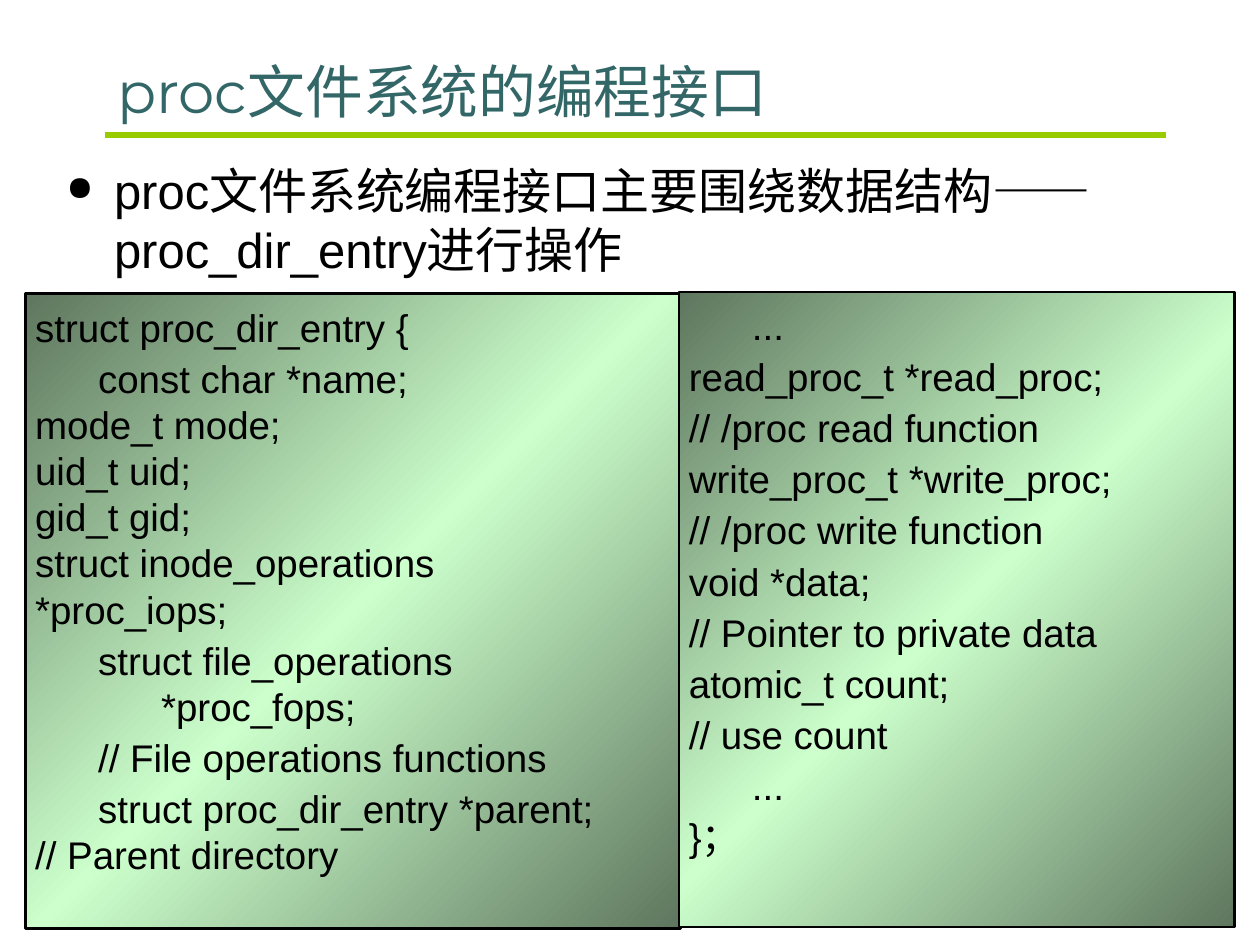
from dataclasses import dataclass

from lxml import etree
from pptx import Presentation
from pptx.dml.color import RGBColor
from pptx.enum.shapes import MSO_CONNECTOR, MSO_SHAPE
from pptx.enum.text import MSO_ANCHOR, MSO_AUTO_SIZE, PP_ALIGN
from pptx.oxml import parse_xml
from pptx.oxml.ns import nsdecls, qn
from pptx.util import Cm, Pt

RECTANGLE = MSO_SHAPE.RECTANGLE
STRAIGHT = MSO_CONNECTOR.STRAIGHT
LEFT = PP_ALIGN.LEFT
TOP, BOTTOM = MSO_ANCHOR.TOP, MSO_ANCHOR.BOTTOM
TITLE_ONLY = 5


@dataclass(frozen=True)
class Theme:
    title_color: str = "336666"
    rule_color: str = "99CC00"
    text_color: str = "000000"
    panel_edge: str = "5E765E"
    panel_middle: str = "CCFFCC"
    title_font: str = "Montserrat"
    body_font: str = "Arial"
    title_size: int = 33
    body_size: int = 28
    code_size: int = 22


THEME = Theme()

TITLE = "proc文件系统的编程接口"
INTRO = "proc文件系统编程接口主要围绕数据结构—— proc_dir_entry进行操作"

# A tab indents code by one level; \v continues a paragraph on a new line
FIRST_FIELDS = [
    "struct proc_dir_entry {",
    "\tconst char *name;\vmode_t mode;\vuid_t uid;\vgid_t gid;"
    "\vstruct inode_operations\v*proc_iops;",
    "\tstruct file_operations\v\t\t*proc_fops;",
    "\t// File operations functions",
    "\tstruct proc_dir_entry *parent;\v// Parent directory",
]
LAST_FIELDS = [
    "\t...",
    "read_proc_t *read_proc;",
    "// /proc read function",
    "write_proc_t *write_proc;",
    "// /proc write function",
    "void *data;",
    "// Pointer to private data",
    "atomic_t count;",
    "// use count",
    "\t...",
    "}；",
]


def format_paragraph(para, font, size, color, space_before=0):
    para.alignment = LEFT
    para.space_before = Pt(space_before)
    for span in para.runs:
        span.font.name = font
        span.font.size = Pt(size)
        span.font.color.rgb = RGBColor.from_string(color)


def set_title(page):
    title = page.shapes.title
    title.left, title.top = Cm(2.11), Cm(0.71)
    title.width, title.height = Cm(21.39), Cm(1.93)
    frame = title.text_frame
    frame.text = TITLE
    frame.vertical_anchor = BOTTOM
    frame.auto_size = MSO_AUTO_SIZE.NONE
    format_paragraph(frame.paragraphs[0], THEME.title_font,
                     THEME.title_size, THEME.title_color)


def add_rule(page):
    rule = page.shapes.add_connector(STRAIGHT, Cm(2.11), Cm(2.72), Cm(23.5), Cm(2.72))
    rule.line.color.rgb = RGBColor.from_string(THEME.rule_color)
    rule.line.width = Pt(3)
    etree.SubElement(rule._element.spPr, qn("a:effectLst"))


def add_bullet(para, indent):
    properties = para._p.get_or_add_pPr()
    properties.set("marL", str(indent))
    properties.set("indent", str(-indent))
    etree.SubElement(properties, qn("a:buSzPct")).set("val", "70000")
    etree.SubElement(properties, qn("a:buChar")).set("char", "●")


def add_intro(page):
    box = page.shapes.add_textbox(Cm(1.09), Cm(3.12), Cm(22.78), Cm(2.79))
    frame = box.text_frame
    frame.word_wrap = True
    frame.text = INTRO
    para = frame.paragraphs[0]
    format_paragraph(para, THEME.body_font, THEME.body_size, THEME.text_color, 7)
    add_bullet(para, Cm(0.96))


def fill_with_gradient(shape):
    colors = [THEME.panel_edge, THEME.panel_middle, THEME.panel_edge]
    stops = "".join(
        f'<a:gs pos="{place * 50000}"><a:srgbClr val="{color}"/></a:gs>'
        for place, color in enumerate(colors))
    gradient = parse_xml(
        f'<a:gradFill {nsdecls("a")} rotWithShape="1"><a:gsLst>{stops}</a:gsLst>'
        '<a:lin ang="2700000" scaled="1"/></a:gradFill>')
    shape._element.spPr.find(qn("a:prstGeom")).addnext(gradient)


def add_code_panel(page, left, top, width, lines):
    panel = page.shapes.add_shape(RECTANGLE, left, top, width, Cm(12.8))
    panel.shadow.inherit = False
    fill_with_gradient(panel)
    panel.line.color.rgb = RGBColor.from_string(THEME.text_color)
    panel.line.width = Pt(1.5)
    frame = panel.text_frame
    frame.word_wrap = True
    frame.vertical_anchor = TOP
    frame.margin_left = frame.margin_right = Cm(0.2)
    frame.margin_top = frame.margin_bottom = Cm(0.2)
    frame.text = lines[0]
    for line in lines[1:]:
        frame.add_paragraph().text = line
    for para in frame.paragraphs:
        format_paragraph(para, THEME.body_font, THEME.code_size, THEME.text_color, 2.8)


def main():
    deck = Presentation()
    deck.slide_width, deck.slide_height = Cm(25.4), Cm(19.05)
    page = deck.slides.add_slide(deck.slide_layouts[TITLE_ONLY])

    # Heading and introduction
    add_rule(page)
    set_title(page)
    add_intro(page)

    # The structure, split over two panels
    add_code_panel(page, Cm(0.51), Cm(5.92), Cm(13.21), FIRST_FIELDS)
    add_code_panel(page, Cm(13.69), Cm(5.89), Cm(11.2), LAST_FIELDS)

    deck.save("out.pptx")


if __name__ == "__main__":
    main()
